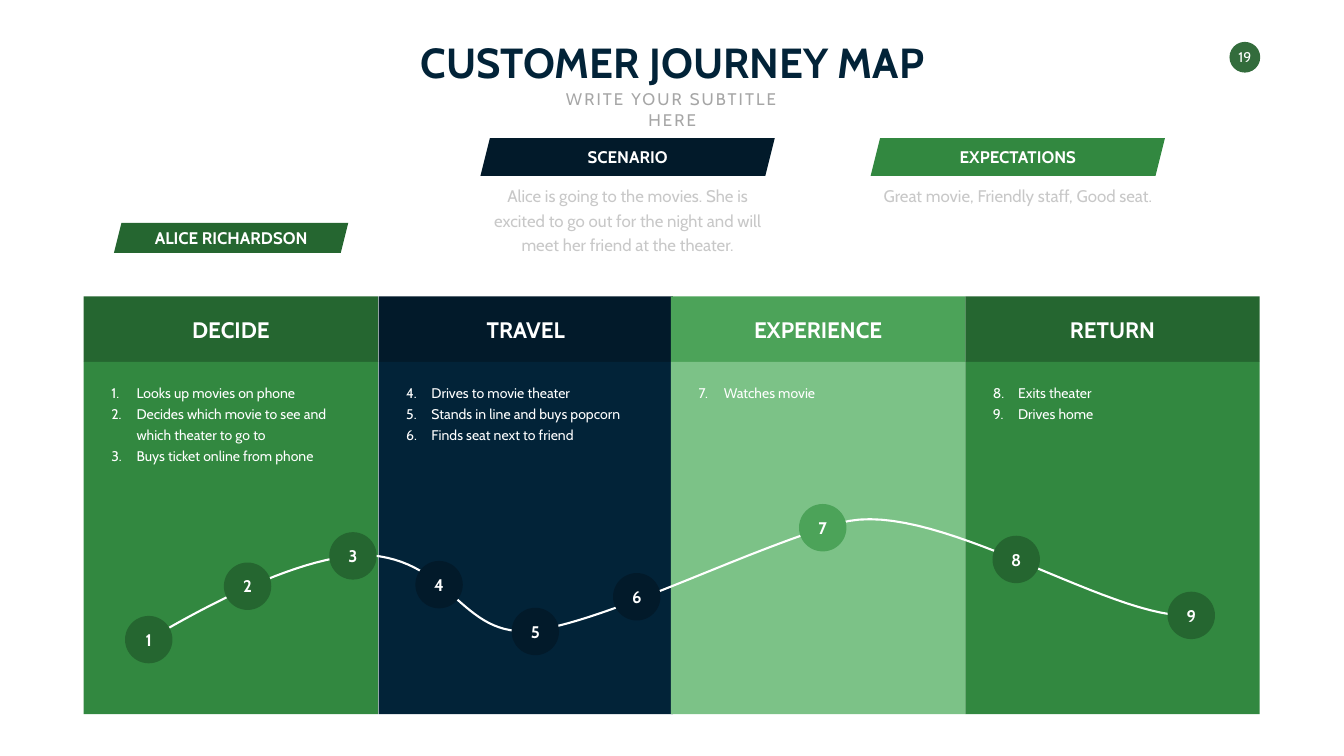
from pptx import Presentation
from pptx import util as u
from pptx.dml.color import RGBColor
from pptx.enum import shapes, text
from pptx.oxml.ns import qn
from lxml import etree

FONT = "Cabin"
COLORS = {
    "white": "FFFFFF", "navy": "022338", "dark_navy": "021A2A",
    "badge": "336C3C", "dark_green": "256630", "green": "328840",
    "mid_green": "4CA359", "light_green": "7CC287",
    "subtitle": "A6A6A6", "note": "C8C8C8",
}
COLUMN_WIDTH = 14.83
HEADER_TOP, HEADER_HEIGHT = 14.94, 3.3
BODY_HEIGHT = 17.75
STOP_SIZE = 2.39

# Each step is its wording and the left and top of its stop on the curve.
COLUMNS = [
    {"title": "DECIDE", "left": 4.22, "header": "dark_green", "body": "green", "lines": 4,
     "steps": [("Looks up movies on phone", 6.3, 31.04),
               ("Decides which movie to see and which theater to go to", 11.28, 28.35),
               ("Buys ticket online from phone", 16.59, 26.82)]},
    {"title": "TRAVEL", "left": 19.08, "header": "dark_navy", "body": "navy", "lines": 3,
     "steps": [("Drives to movie theater", 20.93, 28.27),
               ("Stands in line and buys popcorn", 25.78, 30.63),
               ("Finds seat next to friend", 30.89, 28.88)]},
    {"title": "EXPERIENCE", "left": 33.81, "header": "mid_green", "body": "light_green", "lines": 1,
     "steps": [("Watches movie", 40.26, 25.4)]},
    {"title": "RETURN", "left": 48.64, "header": "dark_green", "body": "green", "lines": 2,
     "steps": [("Exits theater", 50.01, 27), ("Drives home", 58.83, 29.82)]},
]
CURVE_START = (7.49, 32.23)
CURVE_SEGMENTS = [
    ((7.52, 32.26), (15.21, 27.38), (19.15, 28.04)),
    ((23.09, 28.68), (23.44, 32.51), (27.41, 31.7)),
    ((31.39, 30.91), (37.54, 27.76), (42.29, 26.37)),
    ((47.04, 24.94), (56.29, 31.55), (60.33, 30.99)),
]
NOTES = [
    ("SCENARIO", 24.21, "dark_navy", 3.86,
     "Alice is going to the movies. She is excited to go out for the night "
     "and will meet her friend at the theater."),
    ("EXPECTATIONS", 43.87, "green", 1.37, "Great movie, Friendly staff, Good seat."),
]


def rgb(name):
    return RGBColor.from_string(COLORS[name])


def lengths(box):
    return [u.Cm(value) for value in box]


def write(paragraph, words, size, color="white", bold=False,
          align=text.PP_ALIGN.CENTER, line_spacing=None):
    paragraph.alignment = align
    if line_spacing:
        paragraph.line_spacing = u.Pt(line_spacing)
    run = paragraph.add_run()
    run.text = words
    for name, value in {"name": FONT, "size": u.Pt(size), "bold": bold}.items():
        setattr(run.font, name, value)
    run.font.color.rgb = rgb(color)
    return run


def add_block(slide, kind, box, fill, words="", size=24, bold=True):
    """Add a flat preset shape, with its label centred inside."""
    shape = slide.shapes.add_shape(kind, *lengths(box))
    shape.shadow.inherit = False
    shape.fill.solid()
    shape.fill.fore_color.rgb = rgb(fill)
    shape.line.fill.background()
    if words:
        frame = shape.text_frame
        settings = {"word_wrap": False, "vertical_anchor": text.MSO_ANCHOR.MIDDLE,
                    "margin_left": 0, "margin_right": 0, "margin_top": 0, "margin_bottom": 0}
        for name, value in settings.items():
            setattr(frame, name, value)
        write(frame.paragraphs[0], words, size, bold=bold)


def add_text_frame(slide, box):
    frame = slide.shapes.add_textbox(*lengths(box)).text_frame
    frame.word_wrap = True
    return frame


def add_title(slide, words, box):
    title = slide.shapes.title
    for name, value in zip(("left", "top", "width", "height"), lengths(box)):
        setattr(title, name, value)
    frame = title.text_frame
    settings = {"word_wrap": False, "auto_size": text.MSO_AUTO_SIZE.NONE,
                "vertical_anchor": text.MSO_ANCHOR.TOP}
    for name, value in settings.items():
        setattr(frame, name, value)
    write(frame.paragraphs[0], words, 60, "navy", bold=True)


def number_paragraph(paragraph, start):
    properties = paragraph._p.get_or_add_pPr()
    properties.set("marL", str(u.Cm(1.27)))
    properties.set("indent", str(u.Cm(-1.27)))
    etree.SubElement(properties, qn("a:buAutoNum"), type="arabicPeriod", startAt=str(start))


def add_column(slide, column, start):
    left = column["left"]
    rectangle = shapes.MSO_SHAPE.RECTANGLE
    add_block(slide, rectangle, (left, HEADER_TOP, COLUMN_WIDTH, HEADER_HEIGHT),
              column["header"], column["title"], 32)
    add_block(slide, rectangle, (left, HEADER_TOP + HEADER_HEIGHT, COLUMN_WIDTH, BODY_HEIGHT),
              column["body"])
    frame = add_text_frame(slide, (left + 1.14, 19.05, 12.57, 1.07 * column["lines"] + 0.15))
    for index, (words, _, _) in enumerate(column["steps"]):
        paragraph = frame.add_paragraph() if index else frame.paragraphs[0]
        number_paragraph(paragraph, start)
        write(paragraph, words, 20, align=text.PP_ALIGN.LEFT, line_spacing=30)


def bezier_points(start, segments, count=30):
    """Return evenly stepped points along joined cubic curves."""
    points = []
    for segment in segments:
        for step in range(1, count + 1):
            t = step / count
            weights = ((1 - t) ** 3, 3 * t * (1 - t) ** 2, 3 * t * t * (1 - t), t ** 3)
            controls = (start, *segment)
            points.append(tuple(u.Cm(sum(w * point[axis] for w, point in zip(weights, controls)))
                                for axis in (0, 1)))
        start = segment[-1]
    return points


def add_curve(slide):
    builder = slide.shapes.build_freeform(*lengths(CURVE_START))
    builder.add_line_segments(bezier_points(CURVE_START, CURVE_SEGMENTS), close=False)
    curve = builder.convert_to_shape()
    curve.shadow.inherit = False
    curve.fill.background()
    curve.line.color.rgb = rgb("white")
    curve.line.width = u.Pt(3)


def add_journey(slide):
    number = 1
    for column in COLUMNS:
        add_column(slide, column, number)
        number += len(column["steps"])
    add_curve(slide)
    stops = [(column["header"], left, top)
             for column in COLUMNS for _, left, top in column["steps"]]
    for number, (fill, left, top) in enumerate(stops, 1):
        add_block(slide, shapes.MSO_SHAPE.OVAL, (left, top, STOP_SIZE, STOP_SIZE),
                  fill, str(number))


def add_persona(slide):
    tag = shapes.MSO_SHAPE.PARALLELOGRAM
    add_block(slide, tag, (5.74, 11.23, 11.81, 1.52), "dark_green", "ALICE RICHARDSON")
    for heading, left, fill, height, words in NOTES:
        add_block(slide, tag, (left, 6.96, COLUMN_WIDTH, 1.9), fill, heading)
        frame = add_text_frame(slide, (left, 9.02, COLUMN_WIDTH, height))
        write(frame.paragraphs[0], words, 24, "note", line_spacing=35)


def main():
    presentation = Presentation()
    presentation.slide_width, presentation.slide_height = u.Cm(67.72), u.Cm(38.1)
    slide = presentation.slides.add_slide(presentation.slide_layouts[5])
    add_block(slide, shapes.MSO_SHAPE.OVAL, (61.95, 2.11, 1.55, 1.55), "badge", "19", 20, False)
    add_title(slide, "CUSTOMER JOURNEY MAP", (19.76, 1.7, 28.22, 2.82))
    subtitle = add_text_frame(slide, (26.97, 4.37, 13.79, 1.27))
    run = write(subtitle.paragraphs[0], "WRITE YOUR SUBTITLE HERE", 24, "subtitle")
    run._r.get_or_add_rPr().set("spc", "300")
    add_journey(slide)
    add_persona(slide)
    presentation.save("out.pptx")


if __name__ == "__main__":
    main()
